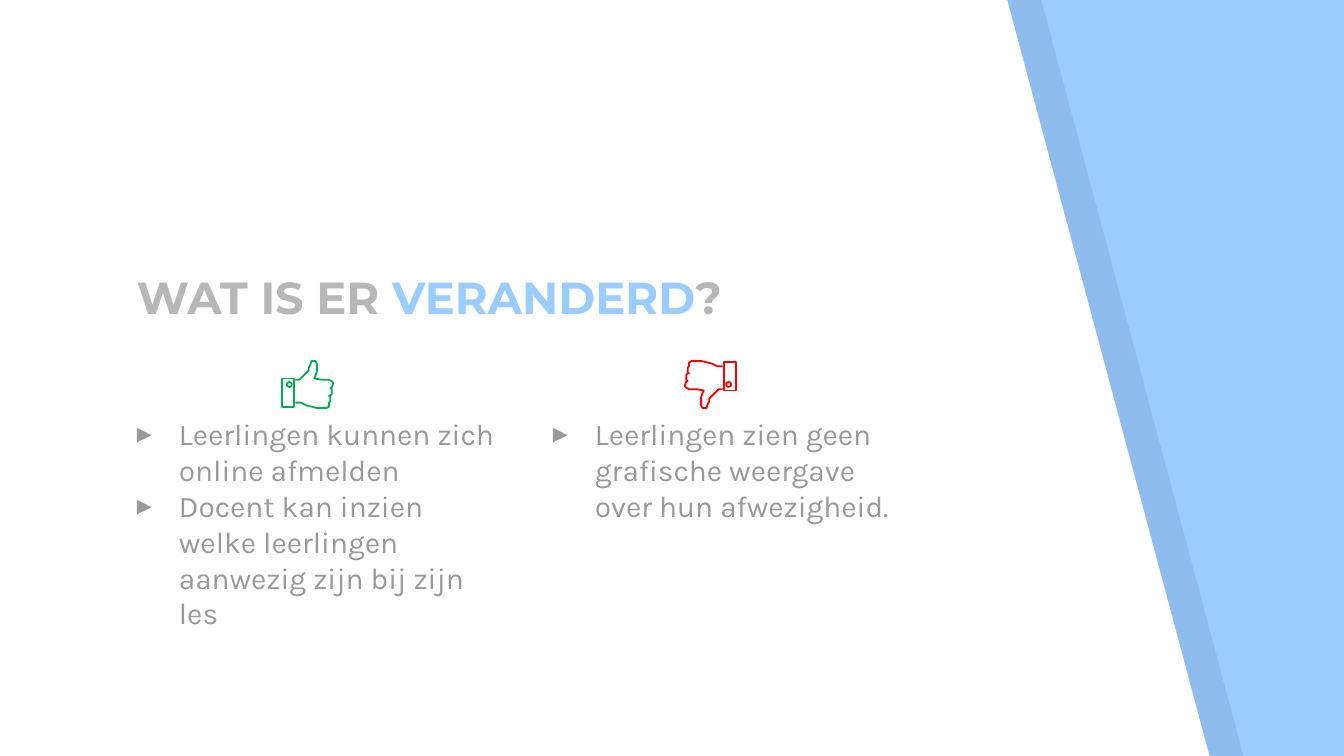
import math

from lxml import etree
from pptx import Presentation
from pptx import util as u
from pptx.dml.color import RGBColor
from pptx.enum import text
from pptx.oxml import ns

PX = 914400 / 134.4
GRID = 9144  # step of the hand drawing, in EMU
COLORS = {
    "sky": "99CCFF", "white": "FFFFFF", "black": "000000", "title": "B7B7B7",
    "body": "999999", "good": "00B050", "bad": "FF0000",
}
HAND_SIZE = (38, 35)
CUFF = [(0, 13), (0, 34), (9, 34), (9, 13)]
BUTTON = [(5.5 + 1.8 * math.cos(math.radians(angle)),
           17.5 + 1.8 * math.sin(math.radians(angle)))
          for angle in range(0, 360, 20)]
FIST = [
    (10, 31), (14, 31), (18, 33), (22, 34), (26, 35), (33, 35), (35, 34),
    (35, 31), (36, 30), (36, 26), (35, 26), (37, 25), (37, 21), (36, 20),
    (37, 20), (38, 17), (38, 16), (37, 15), (35, 14), (30, 14), (24, 13),
    (25, 11), (26, 8), (26, 2), (25, 0), (22, 0), (21, 3), (20, 5),
    (20, 7), (18, 9), (15, 12), (13, 14), (10, 14),
]


def px(value):
    return u.Emu(round(value * PX))


def rgb(name):
    return RGBColor.from_string(COLORS[name])


def write(paragraph, content, font, size, color, bold=False):
    run = paragraph.add_run()
    run.text = content
    run.font.name = font
    run.font.size = u.Pt(size)
    run.font.bold = bold
    run.font.color.rgb = rgb(color)


class SlideWriter:
    title_style = {"font": "Montserrat", "size": 24, "bold": True}
    body_style = {"font": "Karla", "size": 16, "color": "body"}
    inset = 13
    indent = 42

    def __init__(self, slide):
        self.slide = slide

    def background(self, color):
        fill = self.slide.background.fill
        fill.solid()
        fill.fore_color.rgb = rgb(color)

    def outline(self, shapes, contours, closed=True):
        """Build a freeform from contours given in EMU."""
        first, *others = contours
        builder = shapes.build_freeform(*first[0])
        builder.add_line_segments(first[1:], close=closed)
        for contour in others:
            builder.move_to(*contour[0])
            builder.add_line_segments(contour[1:], close=closed)
        shape = builder.convert_to_shape()
        shape.shadow.inherit = False
        return shape

    def panel(self, points, color, alpha=None):
        points = [(px(x), px(y)) for x, y in points]
        shape = self.outline(self.slide.shapes, [points])
        shape.fill.solid()
        shape.fill.fore_color.rgb = rgb(color)
        shape.line.fill.background()
        if alpha:
            color_node = shape.fill._xPr.find(".//" + ns.qn("a:srgbClr"))
            etree.SubElement(color_node, ns.qn("a:alpha"), val=str(alpha * 1000))

    def hand(self, left, top, color, turned=False):
        def place(points):
            if turned:
                points = [(HAND_SIZE[0] - x, HAND_SIZE[1] - y) for x, y in points]
            return [(px(left) + x * GRID, px(top) + y * GRID) for x, y in points]

        group = self.slide.shapes.add_group_shape()
        parts = [([CUFF, BUTTON], True), ([FIST], False)]
        for contours, closed in parts:
            shape = self.outline(group.shapes, [place(c) for c in contours], closed)
            shape.fill.background()
            shape.line.color.rgb = rgb(color)
            shape.line.width = u.Pt(0.96)

    def text_box(self, left, top, width, height, inset_top=inset):
        box = self.slide.shapes.add_textbox(px(left), px(top), px(width), px(height))
        frame = box.text_frame
        frame.word_wrap = True
        frame.margin_left = frame.margin_right = frame.margin_bottom = px(self.inset)
        frame.margin_top = px(inset_top)
        return frame

    def title(self, left, top, width, height, pieces):
        frame = self.text_box(left, top, width, height)
        frame.vertical_anchor = text.MSO_ANCHOR.BOTTOM
        for content, color in pieces:
            write(frame.paragraphs[0], content, color=color, **self.title_style)

    def bullet_list(self, left, top, width, height, items):
        # The top inset leaves one line free for the hand
        frame = self.text_box(left, top, width, height, inset_top=self.inset + 36)
        for index, item in enumerate(items):
            paragraph = frame.add_paragraph() if index else frame.paragraphs[0]
            properties = paragraph._p.get_or_add_pPr()
            properties.set("marL", str(px(self.indent)))
            properties.set("indent", str(-px(self.indent)))
            bullet_color = etree.SubElement(properties, ns.qn("a:buClr"))
            etree.SubElement(bullet_color, ns.qn("a:srgbClr"), val=COLORS["body"])
            etree.SubElement(properties, ns.qn("a:buFont"), typeface="Karla")
            etree.SubElement(properties, ns.qn("a:buChar"), char="▸")
            write(paragraph, item, **self.body_style)


def main():
    presentation = Presentation()
    presentation.slide_width, presentation.slide_height = px(1344), px(756)
    slide = presentation.slides.add_slide(presentation.slide_layouts[6])
    writer = SlideWriter(slide)

    # Slanted white panel over its dark edge
    writer.background("sky")
    for shift, color, alpha in [(34, "black", 7), (0, "white", None)]:
        corners = [(0, -1), (0, 758), (1210, 758), (1007, -1)]
        writer.panel([(x + shift, y) for x, y in corners], color, alpha)

    # Title
    writer.title(124, 277, 706, 60, [
        ("WAT IS ER ", "title"), ("VERANDERD", "sky"), ("?", "title")])

    # Two columns, each with a hand above its list
    columns = [
        (124, 282, "good", False, [
            "Leerlingen kunnen zich online afmelden",
            "Docent kan inzien welke leerlingen aanwezig zijn bij zijn les"]),
        (540, 685, "bad", True, [
            "Leerlingen zien geen grafische weergave over hun afwezigheid."]),
    ]
    for left, hand_left, color, turned, items in columns:
        writer.bullet_list(left, 367, 392, 358, items)
        writer.hand(hand_left, 361, color, turned)

    presentation.save("out.pptx")


if __name__ == "__main__":
    main()
